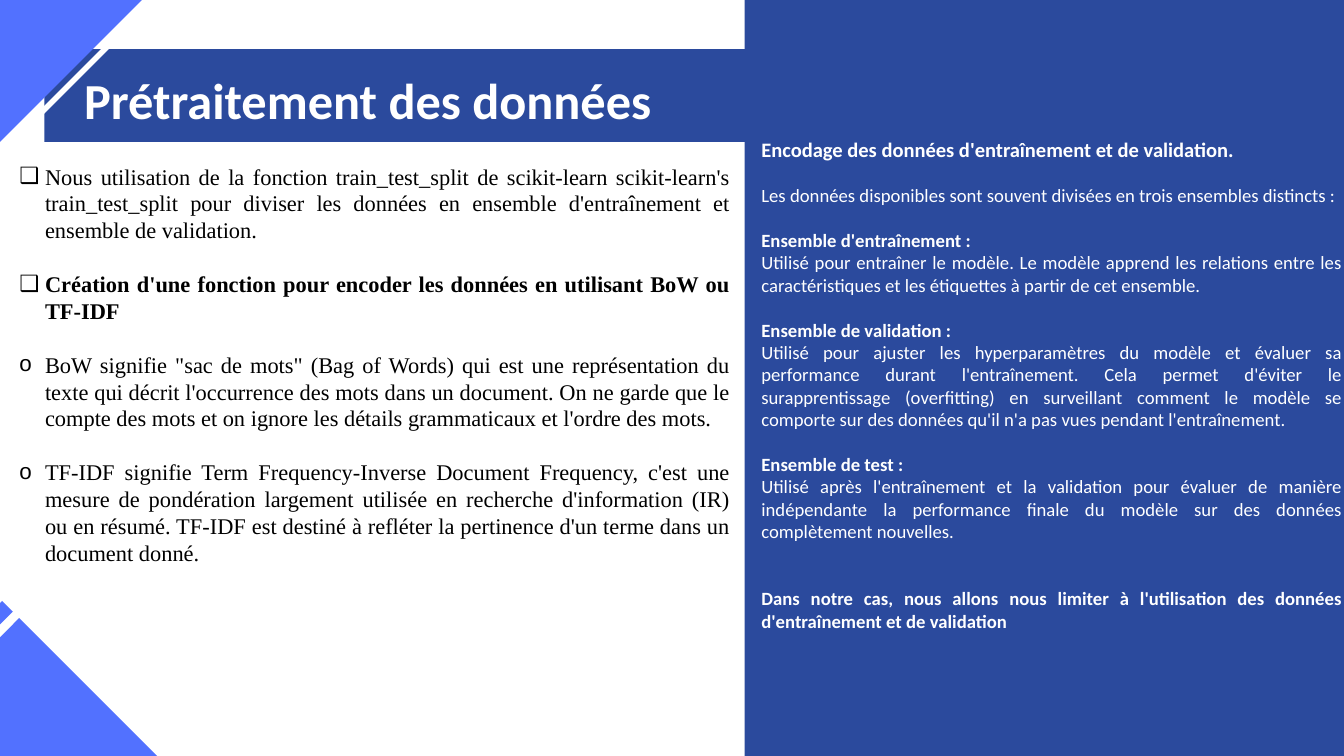
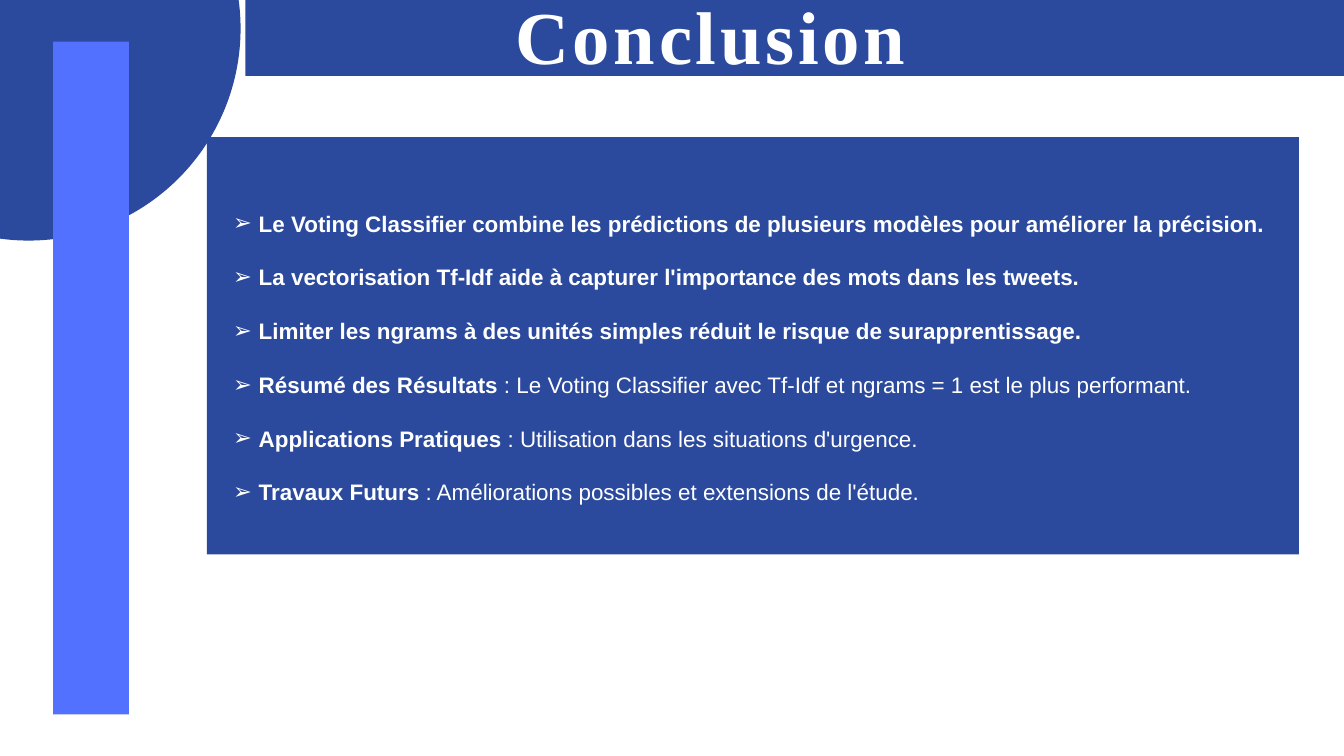
import pptx
import pptx.util
import pptx.dml.color
import pptx.enum.shapes
import pptx.enum.text
import pptx.oxml.ns
import lxml.etree

Inches = pptx.util.Inches
Pt = pptx.util.Pt
ALIGN = pptx.enum.text.PP_ALIGN
SHAPE = pptx.enum.shapes.MSO_SHAPE

NAVY = "2B4A9D"
BLUE = "5271FF"
WHITE = "FFFFFF"
BLACK = "000000"
SLIDE_WIDTH, SLIDE_HEIGHT = 20, 11.25
HANGING = 0.38

ENCODING_STEPS = [
    {"runs": [("Nous utilisation de la fonction train_test_split de scikit-learn scikit-learn's "
               "train_test_split pour diviser les données en ensemble d'entraînement et "
               "ensemble de validation.", False)], "bullet": "❑"},
    {"runs": [("Création d'une fonction pour encoder les données en utilisant BoW ou TF-IDF", True)],
     "bullet": "❑", "gap": 1},
    {"runs": [("BoW signifie \"sac de mots\" (Bag of Words) qui est une représentation du texte "
               "qui décrit l'occurrence des mots dans un document. On ne garde que le compte des "
               "mots et on ignore les détails grammaticaux et l'ordre des mots.", False)],
     "bullet": "o", "gap": 1},
    {"runs": [("TF-IDF signifie Term Frequency-Inverse Document Frequency, c'est une mesure de "
               "pondération largement utilisée en recherche d'information (IR) ou en résumé. "
               "TF-IDF est destiné à refléter la pertinence d'un terme dans un document donné.",
               False)], "bullet": "o", "gap": 1},
]

DATA_SETS = [
    {"runs": [("Encodage des données d'entraînement et de validation.", True)], "size": 22},
    {"runs": [("Les données disponibles sont souvent divisées en trois ensembles distincts :",
               False)], "gap": 1},
    {"runs": [("Ensemble d'entraînement :", True)], "gap": 1},
    {"runs": [("Utilisé pour entraîner le modèle. Le modèle apprend les relations entre les "
               "caractéristiques et les étiquettes à partir de cet ensemble.", False)]},
    {"runs": [("Ensemble de validation :", True)], "gap": 1},
    {"runs": [("Utilisé pour ajuster les hyperparamètres du modèle et évaluer sa performance "
               "durant l'entraînement. Cela permet d'éviter le surapprentissage (overfitting) en "
               "surveillant comment le modèle se comporte sur des données qu'il n'a pas vues "
               "pendant l'entraînement.", False)]},
    {"runs": [("Ensemble de test :", True)], "gap": 1},
    {"runs": [("Utilisé après l'entraînement et la validation pour évaluer de manière "
               "indépendante la performance finale du modèle sur des données complètement "
               "nouvelles.", False)]},
    {"runs": [("Dans notre cas, nous allons nous limiter à l'utilisation des données "
               "d'entraînement et de validation", True)], "gap": 2},
]

FINDINGS = [
    [("Le Voting Classifier combine les prédictions de plusieurs modèles pour améliorer la "
      "précision.", True)],
    [("La vectorisation Tf-Idf aide à capturer l'importance des mots dans les tweets.", True)],
    [("Limiter les ngrams à des unités simples réduit le risque de surapprentissage.", True)],
    [("Résumé des Résultats", True),
     (" : Le Voting Classifier avec Tf-Idf et ngrams = 1 est le plus performant.", False)],
    [("Applications Pratiques", True), (" : Utilisation dans les situations d'urgence.", False)],
    [("Travaux Futurs", True),
     (" : Améliorations possibles et extensions de l'étude.", False)],
]
CONCLUSIONS = [{"runs": runs, "bullet": "➢", "gap": min(row, 1)}
               for row, runs in enumerate(FINDINGS)]

CORNERS = [
    {"tile": (-1.29, -0.85, 3.12, 2.23), "border": (-1.18, -1.6, 2.75, 3.62), "edge": (0.08, 0.11)},
    {"tile": (-1.63, 9.5, 3.68, 4.45), "border": (-1.94, 9.63, 4.85, 4.15), "edge": (0.15, 0.12)},
    {"tile": (-0.74, 9.67, 2.45, 4.07), "border": (-1.53, 9.93, 4.27, 3.56), "edge": (0.13, 0.11)},
]


def rgb(value):
    return pptx.dml.color.RGBColor.from_string(value)


def paint(shape, color, rotation=0):
    shape.shadow.inherit = False
    shape.fill.solid()
    shape.fill.fore_color.rgb = rgb(color)
    shape.line.fill.background()
    shape.rotation = rotation


def band(slide, left, top, width, height, color=NAVY, kind=SHAPE.RECTANGLE, rotation=0):
    shape = slide.shapes.add_shape(kind, *map(Inches, (left, top, width, height)))
    paint(shape, color, rotation)


def rectangle_points(left, top, width, height):
    right, bottom = left + width, top + height
    return [(Inches(x), Inches(y))
            for x, y in ((left, top), (right, top), (right, bottom), (left, bottom))]


def corner(slide, tile, border, edge):
    band(slide, *tile, color=BLUE, rotation=315)
    left, top, width, height = border
    across, down = edge
    outer = rectangle_points(*border)
    inner = rectangle_points(left + across, top + down, width - 2 * across, height - 2 * down)[::-1]
    builder = slide.shapes.build_freeform(*outer[0])
    builder.add_line_segments(outer[1:], close=True)
    builder.move_to(*inner[0])
    builder.add_line_segments(inner[1:], close=True)
    paint(builder.convert_to_shape(), WHITE, 45)


def set_bullet(paragraph, bullet):
    properties = paragraph._p.get_or_add_pPr()
    indent = Inches(HANGING) if bullet else 0
    properties.set("marL", str(indent))
    properties.set("indent", str(-indent))
    if bullet:
        font = lxml.etree.SubElement(properties, pptx.oxml.ns.qn("a:buFont"))
        font.set("typeface", "Arial")
        lxml.etree.SubElement(properties, pptx.oxml.ns.qn("a:buChar")).set("char", bullet)
    else:
        lxml.etree.SubElement(properties, pptx.oxml.ns.qn("a:buNone"))


def write(slide, placeholder, paragraphs, at, font, size, color=WHITE, align=ALIGN.LEFT,
          line=1.0, inset=(0, 0), tracking=0):
    slide.shapes.element.append(placeholder.element)
    placeholder.left, placeholder.top, placeholder.width, placeholder.height = map(Inches, at)
    frame = placeholder.text_frame
    frame.word_wrap = True
    frame.auto_size = pptx.enum.text.MSO_AUTO_SIZE.NONE
    frame.vertical_anchor = pptx.enum.text.MSO_ANCHOR.TOP
    frame.margin_left = frame.margin_right = Inches(inset[0])
    frame.margin_top = frame.margin_bottom = Inches(inset[1])
    for row, content in enumerate(paragraphs):
        paragraph = frame.paragraphs[0] if row == 0 else frame.add_paragraph()
        set_bullet(paragraph, content.get("bullet"))
        paragraph.alignment = align
        paragraph.line_spacing = line
        gap = content.get("gap", 0)
        paragraph.space_before = Pt(gap * line.pt) if gap else Pt(0)
        paragraph.space_after = Pt(0)
        for text, bold in content["runs"]:
            run = paragraph.add_run()
            run.text = text
            run.font.name = font
            run.font.size = Pt(content.get("size", size))
            run.font.bold = bold
            run.font.color.rgb = rgb(color)
            if tracking:
                run.font._element.set("spc", str(tracking * 100))


def write_title(slide, text, **style):
    write(slide, slide.shapes.title, [{"runs": [(text, True)]}], **style)


def add_preprocessing(deck):
    slide = deck.slides.add_slide(deck.slide_layouts[3])
    steps, data_sets = slide.placeholders[1], slide.placeholders[2]
    band(slide, 0.66, 0.73, 10.9, 1.38)
    for parts in CORNERS:
        corner(slide, **parts)
    write_title(slide, "Prétraitement des données", at=(1.25, 0.97, 10.1, 0.9),
                font="Calibri", size=54, line=1.07)
    band(slide, 11.08, 0, SLIDE_WIDTH - 11.08, SLIDE_HEIGHT)
    write(slide, steps, ENCODING_STEPS, at=(0.19, 2.37, 10.77, 6.56), font="Times New Roman",
          size=24, color=BLACK, align=ALIGN.JUSTIFY, line=Pt(28.8), inset=(0.1, 0.05))
    write(slide, data_sets, DATA_SETS, at=(11.23, 2.02, 8.84, 8.47), font="Calibri",
          size=20, align=ALIGN.JUSTIFY, line=Pt(24), inset=(0.1, 0.05))


def add_conclusion(deck):
    slide = deck.slides.add_slide(deck.slide_layouts[1])
    findings = slide.placeholders[1]
    band(slide, -2.73, -2.73, 6.31, 6.31, kind=SHAPE.OVAL)
    band(slide, 0.79, 0.62, 1.13, 10.01, color=BLUE)
    band(slide, 3.08, 2.04, 16.25, 6.21)
    band(slide, 3.65, -0.01, SLIDE_WIDTH - 3.65, 1.14)
    write_title(slide, "Conclusion", at=(5.92, 0.02, 9.31, 1.22), font="Times New Roman",
                size=80, align=ALIGN.CENTER, line=Pt(84), tracking=4)
    write(slide, findings, CONCLUSIONS, at=(3.47, 3.12, 15.47, 4.45), font="Arial",
          size=24, line=Pt(28.8))


def main():
    deck = pptx.Presentation()
    deck.slide_width, deck.slide_height = Inches(SLIDE_WIDTH), Inches(SLIDE_HEIGHT)
    add_preprocessing(deck)
    add_conclusion(deck)
    deck.save("out.pptx")


if __name__ == "__main__":
    main()
